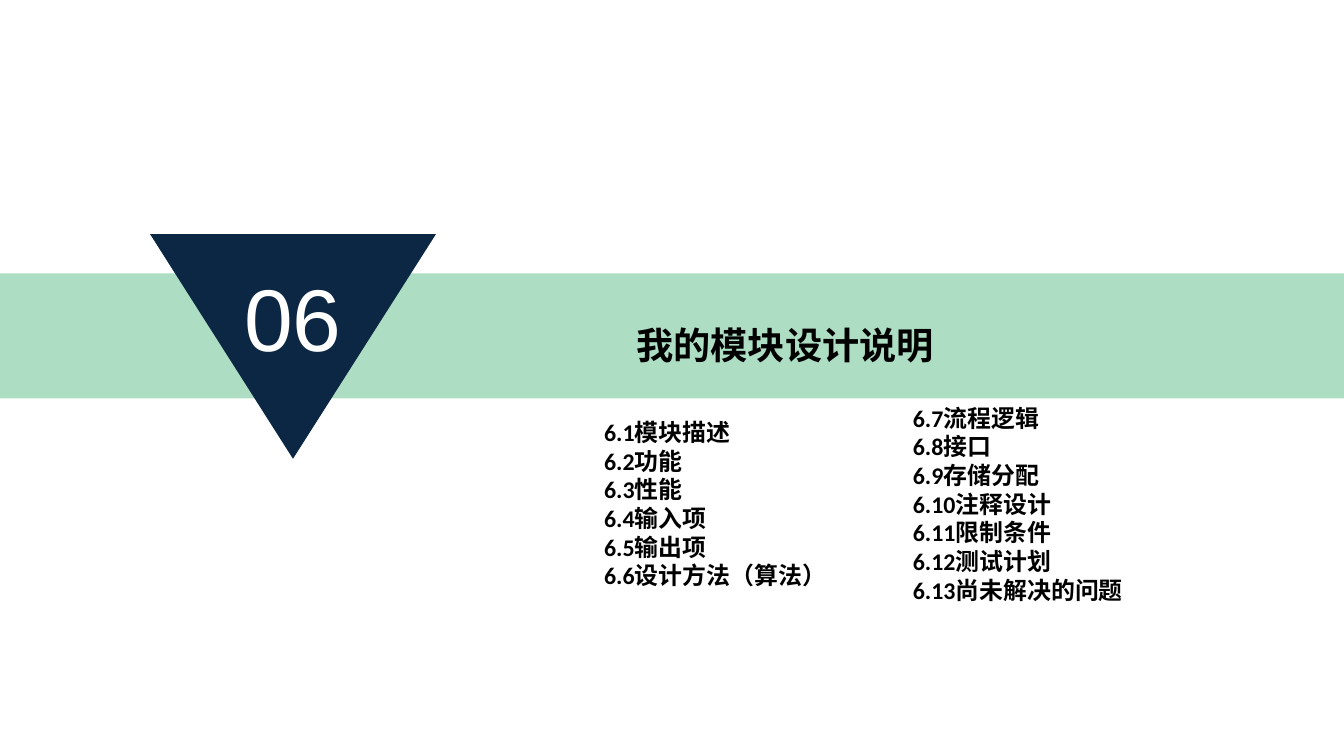
from pptx import Presentation
from pptx.dml.color import RGBColor
from pptx.enum.shapes import MSO_SHAPE
from pptx.enum.text import MSO_ANCHOR, MSO_AUTO_SIZE, PP_ALIGN
from pptx.util import Inches, Pt

# Content
SECTION_NUMBER = "06"
SECTION_TITLE = "我的模块设计说明"
TOPIC_COLUMNS = [
    ["模块描述", "功能", "性能", "输入项", "输出项", "设计方法（算法）"],
    ["流程逻辑", "接口", "存储分配", "注释设计", "限制条件", "测试计划", "尚未解决的问题"],
]
COLORS = {"band": "ADDEC4", "triangle": "0C2744", "light": "FFFFFF", "dark": "000000"}

# Layout in inches
SLIDE_WIDTH, SLIDE_HEIGHT = 14.06, 7.91
BAND_TOP, BAND_HEIGHT = 2.86, 1.31
TRIANGLE_LEFT, TRIANGLE_TOP, TRIANGLE_WIDTH, TRIANGLE_HEIGHT = 1.57, 2.45, 2.99, 2.35
TITLE_BOX = (6.56, 3.32, 3.34, 0.57)
COLUMN_ORIGINS = [(6.32, 4.37), (9.55, 4.22)]
COLUMN_WIDTH = 3.82
ROW_HEIGHT = 0.4
LINE_SPACING = Pt(21.6)


def paint(shape, color):
    shape.shadow.inherit = False
    shape.fill.solid()
    shape.fill.fore_color.rgb = RGBColor.from_string(COLORS[color])
    shape.line.fill.background()


def set_margins(frame, left=0, top=0, right=0, bottom=0):
    frame.margin_left, frame.margin_top = Inches(left), Inches(top)
    frame.margin_right, frame.margin_bottom = Inches(right), Inches(bottom)


def add_text(paragraph, text, size, color="dark", font="Calibri", bold=True,
             align=PP_ALIGN.LEFT):
    paragraph.alignment = align
    run = paragraph.add_run()
    run.text = text
    run.font.name = font
    run.font.size = Pt(size)
    run.font.bold = bold
    run.font.color.rgb = RGBColor.from_string(COLORS[color])


def add_band(slide):
    band = slide.shapes.add_shape(
        MSO_SHAPE.RECTANGLE, 0, Inches(BAND_TOP), Inches(SLIDE_WIDTH), Inches(BAND_HEIGHT))
    paint(band, "band")


def add_number_triangle(slide):
    right = TRIANGLE_LEFT + TRIANGLE_WIDTH
    middle = TRIANGLE_LEFT + TRIANGLE_WIDTH / 2
    builder = slide.shapes.build_freeform(
        Inches(TRIANGLE_LEFT), Inches(TRIANGLE_TOP), scale=1.0)
    builder.add_line_segments([
        (Inches(right), Inches(TRIANGLE_TOP)),
        (Inches(middle), Inches(TRIANGLE_TOP + TRIANGLE_HEIGHT)),
    ], close=True)
    triangle = builder.convert_to_shape()
    paint(triangle, "triangle")
    frame = triangle.text_frame
    frame.vertical_anchor = MSO_ANCHOR.MIDDLE
    set_margins(frame, left=0.1, right=0.1, bottom=0.62)
    add_text(frame.paragraphs[0], SECTION_NUMBER, 66, "light", "Arial", False,
             PP_ALIGN.CENTER)


def format_title(slide):
    title = slide.shapes.title
    title.left, title.top, title.width, title.height = map(Inches, TITLE_BOX)
    frame = title.text_frame
    frame.word_wrap = False
    frame.auto_size = MSO_AUTO_SIZE.SHAPE_TO_FIT_TEXT
    frame.vertical_anchor = MSO_ANCHOR.TOP
    set_margins(frame, 0.1, 0.05, 0.1, 0.05)
    add_text(frame.paragraphs[0], SECTION_TITLE, 28)
    # Bring the title in front of the band
    title.element.getparent().append(title.element)


def add_topics(slide):
    number = 1
    for (left, top), topics in zip(COLUMN_ORIGINS, TOPIC_COLUMNS):
        box = slide.shapes.add_textbox(
            Inches(left), Inches(top), Inches(COLUMN_WIDTH), Inches(ROW_HEIGHT * len(topics)))
        frame = box.text_frame
        frame.word_wrap = True
        frame.auto_size = MSO_AUTO_SIZE.SHAPE_TO_FIT_TEXT
        set_margins(frame)
        for index, topic in enumerate(topics):
            paragraph = frame.add_paragraph() if index else frame.paragraphs[0]
            paragraph.line_spacing = LINE_SPACING
            add_text(paragraph, f"6.{number}{topic}", 18)
            number += 1


def main():
    presentation = Presentation()
    presentation.slide_width = Inches(SLIDE_WIDTH)
    presentation.slide_height = Inches(SLIDE_HEIGHT)
    title_only = presentation.slide_layouts.get_by_name("Title Only")
    slide = presentation.slides.add_slide(title_only)
    add_band(slide)
    add_number_triangle(slide)
    format_title(slide)
    add_topics(slide)
    presentation.save("out.pptx")


if __name__ == "__main__":
    main()
